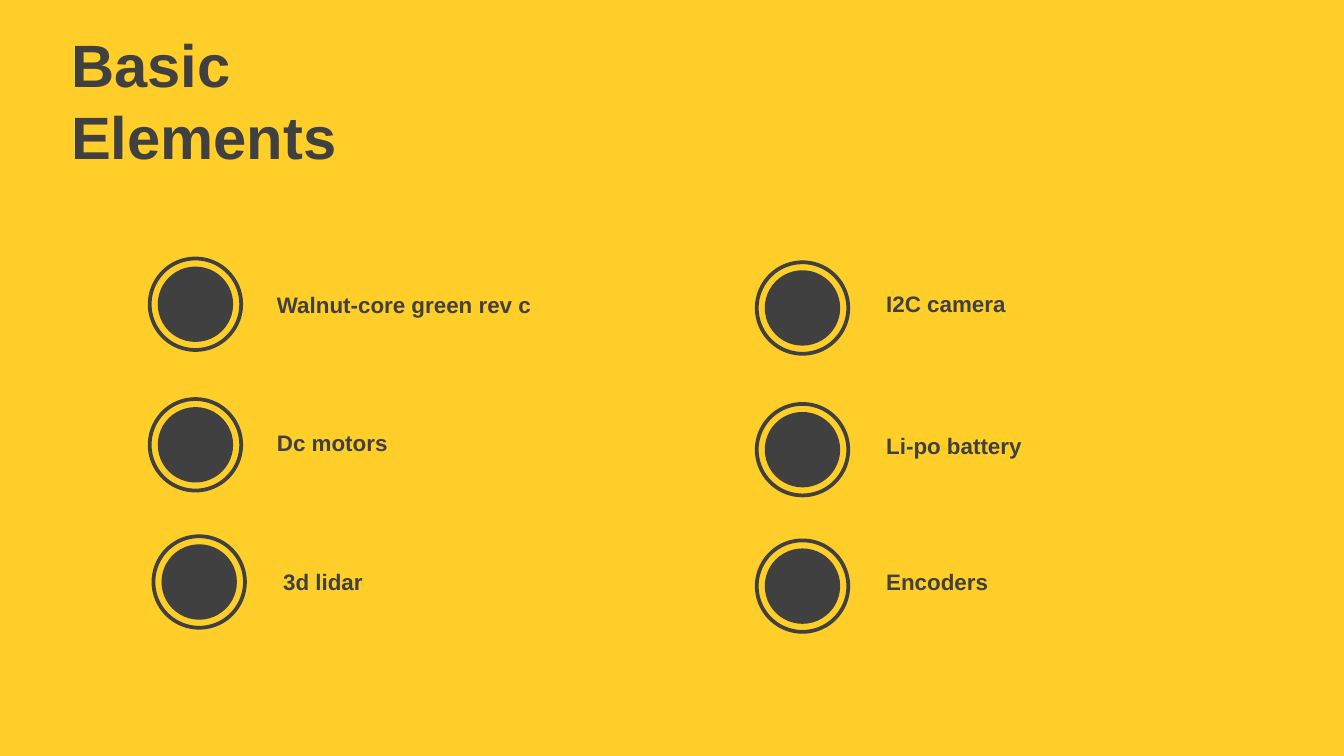
from pptx import Presentation
from pptx.dml.color import RGBColor
from pptx.enum.shapes import MSO_SHAPE
from pptx.enum.text import MSO_ANCHOR
from pptx.util import Pt

COLORS = {"yellow": "FFCE29", "charcoal": "404040"}
RING_SIZE = 49
DOT_SIZE = 40.4
INSET = (RING_SIZE - DOT_SIZE) / 2

elements = [
    ("Walnut-core green rev c", 80.2, 138.5, 141.3, 152.6),
    ("Dc motors", 80.2, 213.8, 141.3, 226.4),
    ("3d lidar", 82.2, 287.3, 144.6, 301),
    ("I2C camera", 405.4, 140.5, 467.7, 151.9),
    ("Li-po battery", 405.4, 216.4, 467.7, 228.2),
    ("Encoders", 405.4, 289.5, 467.7, 301),
]


def add_circle(group, left, top, size, color):
    circle = group.shapes.add_shape(MSO_SHAPE.OVAL, Pt(left), Pt(top), Pt(size), Pt(size))
    circle.shadow.inherit = False
    circle.fill.solid()
    circle.fill.fore_color.rgb = RGBColor.from_string(COLORS[color])
    return circle


def add_text(slide, text, left, top, width, height, size):
    box = slide.shapes.add_textbox(Pt(left), Pt(top), Pt(width), Pt(height))
    box.text_frame.word_wrap = True
    box.text_frame.vertical_anchor = MSO_ANCHOR.TOP
    span = box.text_frame.paragraphs[0].add_run()
    span.text = text
    span.font.name = "Arial"
    span.font.size = Pt(size)
    span.font.bold = True
    span.font.color.rgb = RGBColor.from_string(COLORS["charcoal"])


deck = Presentation()
deck.slide_width = Pt(720)
deck.slide_height = Pt(405)
slide = deck.slides.add_slide(deck.slide_layouts[6])
slide.background.fill.solid()
slide.background.fill.fore_color.rgb = RGBColor.from_string(COLORS["yellow"])

add_text(slide, "Basic Elements", 31, 11.5, 232.6, 94.3, 32)

for label, ring_left, ring_top, label_left, label_top in elements:
    bullet = slide.shapes.add_group_shape()
    ring = add_circle(bullet, ring_left, ring_top, RING_SIZE, "yellow")
    ring.line.color.rgb = RGBColor.from_string(COLORS["charcoal"])
    ring.line.width = Pt(2)
    dot = add_circle(bullet, ring_left + INSET, ring_top + INSET, DOT_SIZE, "charcoal")
    dot.line.fill.background()
    add_text(slide, label, label_left, label_top, 158.4, 21.6, 12)

deck.save("out.pptx")
